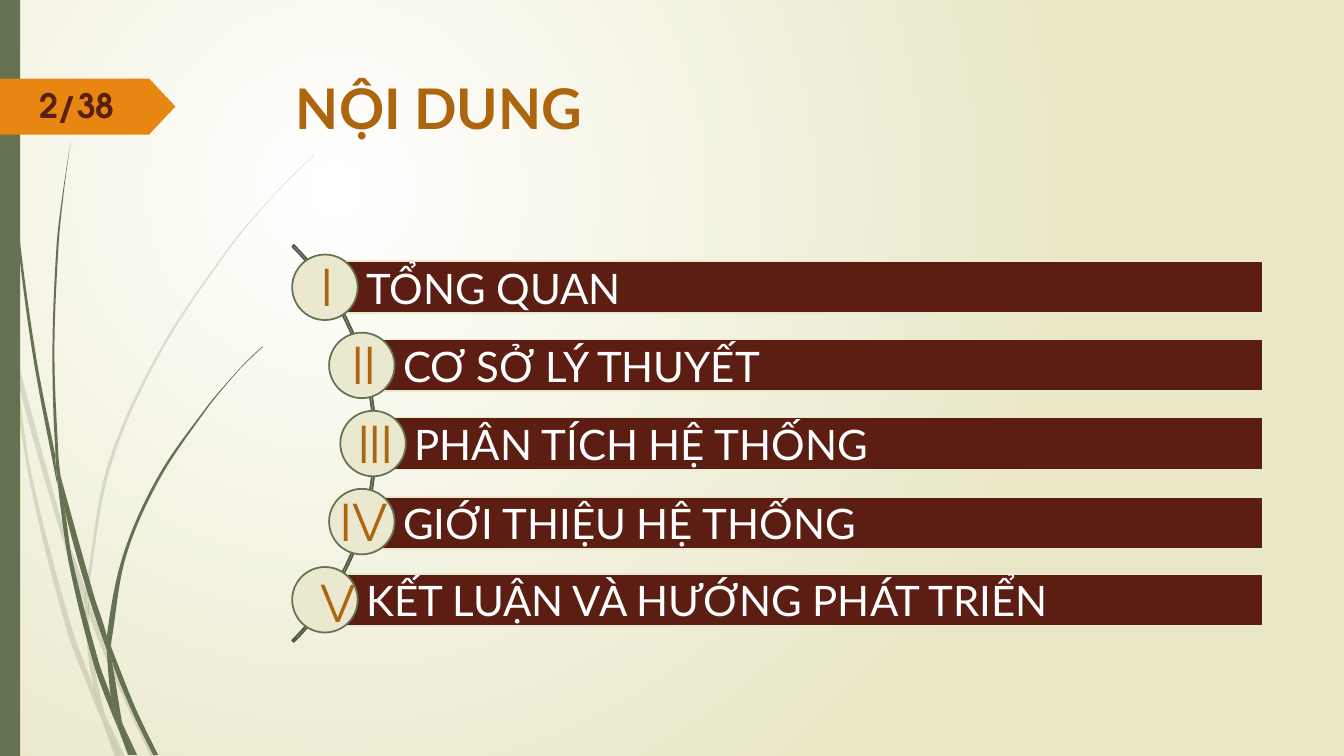
import math
from lxml import etree
from pptx import Presentation, util as u
from pptx.dml.color import RGBColor
from pptx.enum import shapes as kinds, text as t
from pptx.oxml.ns import qn

COLUMNS, ROWS = 133.3, 75
CELL = u.Inches(7.5) / ROWS

COLORS = {
    "white": "FFFFFF", "sand": "E8E6C4", "cream": "EAE8CF", "olive": "647252",
    "dark olive": "505B42", "orange": "E78712", "bronze": "AD650E", "maroon": "5C1E13",
}
HEADING_FONT, NUMBER_FONT = "Lato", "TeX Gyre Adventor"

# Grass: outlines as x, y pairs in grid cells
PALE_GRASS = [
    (1.1, 35, 0.9, 32.2, 0, 28.2, 0, 29.9, 1, 34.4),
    (5.8, 52.2, 8.4, 59.9, 8.5, 58.6, 6.2, 52, 1.4, 34.5, 1.7, 37.6),
    (9.2, 60.7, 8.8, 59.6, 8.8, 61, 12.3, 69.4, 15, 75.1, 15.5, 75.1, 12.7, 69.2),
    (11.9, 75.1, 12.4, 75.1, 10.5, 71.1),
    (9.3, 68.3, 7, 61.9, 3.1, 46.9, 1.7, 37.6, 1.1, 35, 2.8, 47, 6.5, 62.1, 9.2, 69.3,
     10.1, 71.4, 9.9, 70.7),
    (8.4, 59.9, 8.7, 64.6, 9.3, 68.3, 9.6, 69.2, 10.5, 71.1, 10.3, 70.6, 9.1, 64.6,
     8.8, 61, 8.8, 60.8),
    (8.8, 58.4, 11, 46.2, 16, 34.9, 22.9, 24.5, 26.8, 19.8, 29, 17.5, 31.2, 15.4,
     31.2, 15.3, 28.9, 17.5, 26.8, 19.7, 22.8, 24.4, 15.8, 34.8, 10.7, 46.1, 8.5, 58.4,
     8.5, 58.6, 8.8, 59.6),
    (10.1, 71.4, 11.4, 75.1, 11.9, 75.1),
    (8.8, 60.8, 8.8, 61, 8.8, 59.6, 8.5, 58.6, 8.4, 59.9),
    (9.6, 69.2, 9.3, 68.3, 9.9, 70.7, 10.1, 71.4, 11.9, 75.1, 10.5, 71.1),
]
DARK_GRASS = [
    (0.7, 11, 1.7, 23.3, 3.3, 35.5, 5.6, 47.7, 5.7, 48.1, 5.5, 45.7, 5.5, 45.3, 3.6, 35.5,
     1.9, 23.2, 0.8, 10.9, 0.5, 4.8, 0.4, 0, 0.3, 0, 0.4, 4.8),
    (8.8, 59.2, 10.6, 64.5, 10.6, 63.1, 9.3, 59, 6, 47.2, 6.4, 50.5),
    (11.3, 64.9, 11, 64.1, 11.1, 65.6, 13.2, 70.8, 15.2, 74.9, 15.7, 74.9, 13.6, 70.6),
    (11, 69.1, 9.8, 65.7, 7.2, 55.6, 6.4, 50.5, 5.7, 47.7, 6.8, 55.7, 9.3, 65.9,
     11.1, 70.8, 11.7, 72.2, 11.6, 71.7),
    (6, 47.2, 5.8, 45.3, 5.4, 34.9, 5.8, 24.5, 6.3, 19.3, 7, 14.1, 6.2, 19.3, 5.6, 24.5,
     5.2, 34.9, 5.5, 44.9),
    (13.3, 74.9, 13.6, 74.9, 12.2, 71.9),
    (5.7, 47.7, 6.4, 50.5, 6, 47.2, 5.5, 44.9, 5.5, 45.3),
    (11.1, 63.3, 12.5, 55.2, 15.8, 47.6, 20.5, 40.6, 23.1, 37.4, 24.5, 35.9, 26.1, 34.4,
     26, 34.4, 24.5, 35.8, 23.1, 37.3, 20.4, 40.5, 15.6, 47.4, 12.2, 55.1, 10.6, 63.1,
     11, 64.1),
    (11.7, 72.2, 12.7, 74.9, 13.1, 74.9),
    (10.6, 64.5, 11, 69.1, 11.6, 70.6, 12.2, 71.9, 12.1, 71.6, 11.1, 65.6, 10.9, 65.1),
    (10.6, 64.5, 10.9, 65.1, 11.1, 65.6, 11, 64.1, 10.6, 63.1),
    (11.6, 70.6, 11, 69.1, 11.6, 71.7, 11.7, 72.2, 13, 74.9, 13.3, 74.9, 12.2, 71.9),
]

# Numeral, width of its box, chapter, drop of the bar, drop of the numeral
CHAPTERS = [
    ("I", 3.4, "TỔNG QUAN", 0, 0),
    ("II", 5.1, "CƠ SỞ LÝ THUYẾT", 0, 0),
    ("III", 6.4, "PHÂN TÍCH HỆ THỐNG", 0, 0.05),
    ("IV", 7.9, "GIỚI THIỆU HỆ THỐNG", 0.13, 0.1),
    ("V", 3.4, "KẾT LUẬN VÀ HƯỚNG PHÁT TRIỂN", 0, 0.4),
]
HUB_X, HUB_Y = 9.45, 44
ARC_SIZE, ORBIT, PITCH = 55.7, 27.55, 7.75
DISC, BAR_HEIGHT, BAR_RIGHT = 6.5, 5.15, 125.3


def cells(*counts):
    return [u.Emu(round(count * CELL)) for count in counts]


def rgb(color):
    return RGBColor.from_string(COLORS[color])


def paint(shape, fill=None, line=None):
    shape.shadow.inherit = False
    if fill:
        shape.fill.solid()
        shape.fill.fore_color.rgb = rgb(fill)
    else:
        shape.fill.background()
    if line:
        shape.line.color.rgb = rgb(line)
        shape.line.width = u.Pt(1.25)
    else:
        shape.line.fill.background()


def add_preset(slide, kind, box, fill=None, line=None):
    shape = slide.shapes.add_shape(kind, *cells(*box))
    paint(shape, fill, line)
    return shape


def write(frame, words, size, font, color, bold=False, align=t.PP_ALIGN.LEFT):
    frame.word_wrap = True
    paragraph = frame.paragraphs[0]
    paragraph.alignment = align
    run = paragraph.add_run()
    run.text = words
    run.font.size, run.font.name, run.font.bold = u.Pt(size), font, bold
    run.font.color.rgb = rgb(color)


def add_label(slide, box, *style, **options):
    write(slide.shapes.add_textbox(*cells(*box)).text_frame, *style, **options)


def direction(before, point, after):
    """Unit tangent at a point, or zero at a sharp corner."""
    (ax, ay), (bx, by) = [(q[0] - p[0], q[1] - p[1])
                          for p, q in ((before, point), (point, after))]
    if ax * bx + ay * by < 0.7 * math.hypot(ax, ay) * math.hypot(bx, by):
        return 0, 0
    length = math.hypot(ax + bx, ay + by)
    return (ax + bx) / length, (ay + by) / length


def bend(blade):
    """Turn the straight segments of a closed outline into smooth curves."""
    points = [(int(pt.get("x")), int(pt.get("y"))) for pt in blade.element.iter(qn("a:pt"))][:-1]
    count = len(points)
    tangents = [direction(points[i - 1], points[i], points[(i + 1) % count])
                for i in range(count)]
    for i, segment in enumerate(list(blade.element.iter(qn("a:lnTo")))):
        j = (i + 1) % count
        reach = math.dist(points[i], points[j]) / 3
        segment.tag = qn("a:cubicBezTo")
        for k, (end, sign) in enumerate(((i, 1), (j, -1))):
            x, y = [round(p + sign * reach * d) for p, d in zip(points[end], tangents[end])]
            segment.insert(k, segment.makeelement(qn("a:pt"), x=str(x), y=str(y)))


def add_blade(slide, outline, opacity=100):
    corners = list(zip(cells(*outline[::2]), cells(*outline[1::2])))
    builder = slide.shapes.build_freeform(*corners[0])
    builder.add_line_segments(corners[1:] + corners[:1])
    blade = builder.convert_to_shape()
    paint(blade, "olive")
    bend(blade)
    if opacity < 100:
        fill_color = blade.element.spPr.find(".//" + qn("a:srgbClr"))
        etree.SubElement(fill_color, qn("a:alpha"), val=str(opacity * 1000))


def set_background(slide):
    """Circular gradient centred a quarter in from the top left."""
    fill = slide.background.fill
    fill.gradient()
    for stop, color in zip(fill.gradient_stops, ("white", "sand")):
        stop.color.rgb = rgb(color)
    gradient = slide.element.find(".//" + qn("a:gradFill"))
    gradient.remove(gradient.find(qn("a:lin")))
    circle = etree.SubElement(gradient, qn("a:path"), {"path": "circle"})
    etree.SubElement(circle, qn("a:fillToRect"), l="50000", t="50000", r="100000", b="100000")


def add_title(slide, words):
    title = slide.shapes.title
    title.left, title.top, title.width, title.height = cells(28.35, 6.8, 97.5, 10.3)
    title.text_frame.vertical_anchor = t.MSO_ANCHOR.TOP
    write(title.text_frame, words, 40, HEADING_FONT, "bronze", bold=True)


def add_page_flag(slide, words):
    flag = add_preset(slide, kinds.MSO_SHAPE.PENTAGON, (0, 7.8, 17.4, 5.55), "orange")
    flag.adjustments[0] = 0.47
    add_label(slide, (2.9, 7.9, 12, 5), words, 24, NUMBER_FONT, "maroon", bold=True)


def add_arc(slide):
    corner = HUB_X - ARC_SIZE / 2, HUB_Y - ARC_SIZE / 2
    arc = add_preset(slide, kinds.MSO_SHAPE.BLOCK_ARC, (*corner, ARC_SIZE, ARC_SIZE),
                     line="dark olive")
    for index, value in enumerate((189, 27, 0.004)):
        arc.adjustments[index] = value


def add_chapter(slide, offset, numeral, numeral_width, name, bar_drop, numeral_drop):
    """Bar and disc whose shared centre lies on the arc, offset rows from the hub."""
    x, y = HUB_X + math.sqrt(ORBIT ** 2 - offset ** 2), HUB_Y + offset
    bar = add_preset(slide, kinds.MSO_SHAPE.RECTANGLE,
                     (x, y - BAR_HEIGHT / 2 + bar_drop, BAR_RIGHT - x, BAR_HEIGHT),
                     "maroon", "cream")
    frame = bar.text_frame
    frame.margin_left, frame.margin_top, frame.margin_right, frame.margin_bottom = cells(
        4.1, 0.8, 0.8, 0.8)
    frame.vertical_anchor = t.MSO_ANCHOR.MIDDLE
    write(frame, name, 30, HEADING_FONT, "white")
    add_preset(slide, kinds.MSO_SHAPE.OVAL, (x - DISC / 2, y - DISC / 2, DISC, DISC),
               "cream", "olive")
    add_label(slide, (x + 0.25 - numeral_width / 2, y - 3.6 + numeral_drop, numeral_width, 7.1),
              numeral, 36, NUMBER_FONT, "bronze", align=t.PP_ALIGN.CENTER)


def main():
    deck = Presentation()
    deck.slide_width, deck.slide_height = cells(COLUMNS, ROWS)
    slide = deck.slides.add_slide(deck.slide_layouts[5])
    set_background(slide)
    for grass, opacity in ((PALE_GRASS, 20), (DARK_GRASS, 100)):
        for outline in grass:
            add_blade(slide, outline, opacity)
    add_preset(slide, kinds.MSO_SHAPE.RECTANGLE, (0, 0, 2, ROWS), "olive")
    add_title(slide, "NỘI DUNG")
    add_arc(slide)
    for index, chapter in enumerate(CHAPTERS):
        add_chapter(slide, (index - len(CHAPTERS) // 2) * PITCH, *chapter)
    add_page_flag(slide, "2/38")
    deck.save("out.pptx")


if __name__ == "__main__":
    main()
